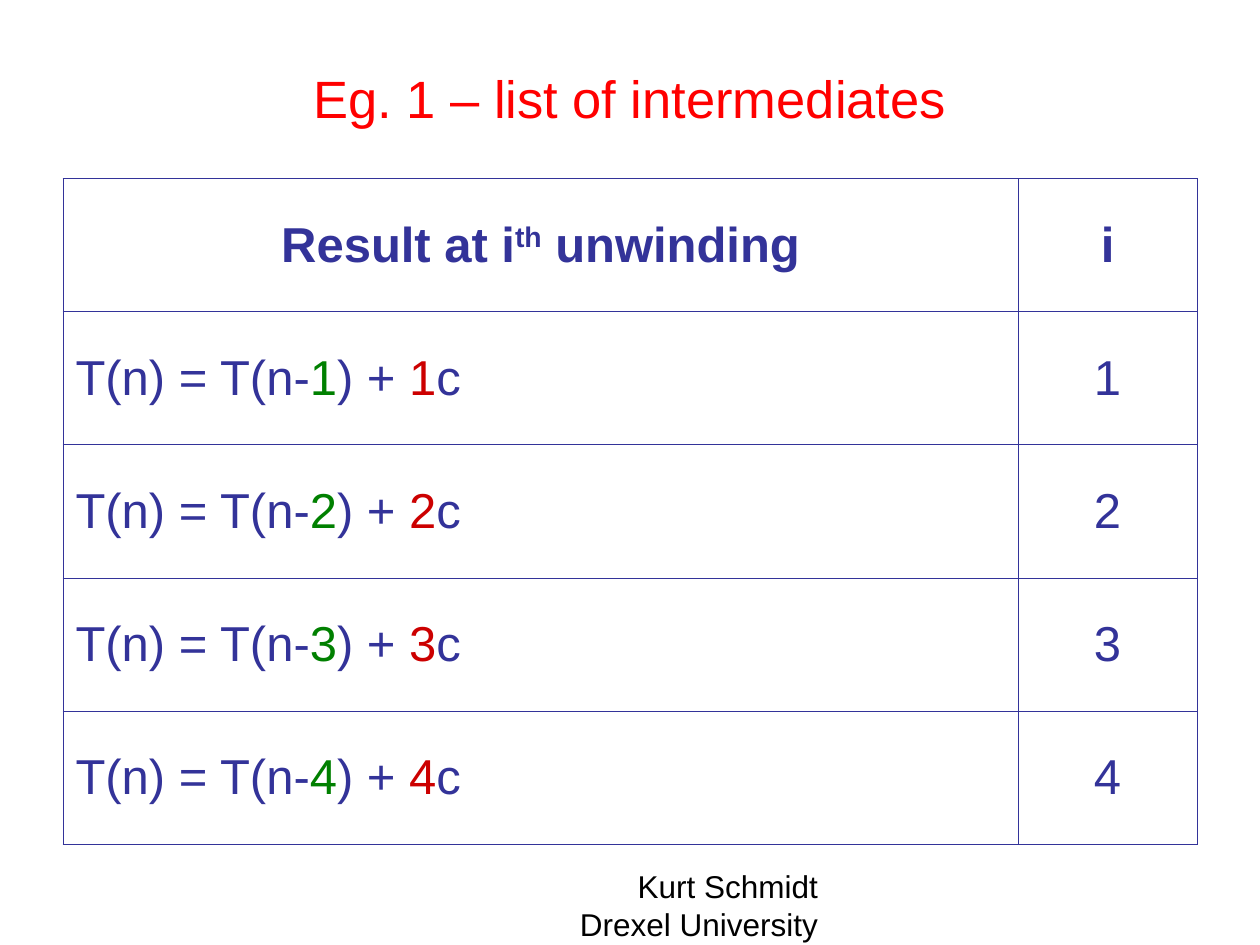
"""Build the slide that lists the unwinding steps of a recurrence."""
import dataclasses

import pptx
import pptx.dml.color
import pptx.enum.text
import pptx.oxml
import pptx.oxml.ns
import pptx.util

Pt = pptx.util.Pt
ALIGN = pptx.enum.text.PP_ALIGN
MIDDLE = pptx.enum.text.MSO_ANCHOR.MIDDLE


@dataclasses.dataclass(frozen=True)
class Theme:
    font: str = "Arial"
    red: str = "FF0000"
    navy: str = "333399"
    green: str = "008000"
    ruby: str = "CC0000"
    black: str = "000000"
    title: int = 30
    body: int = 28
    foot: int = 18
    rule: float = 0.45


THEME = Theme()


def style(run, size, color, bold=False):
    font = run.font
    font.name, font.size, font.bold = THEME.font, Pt(size), bold
    font.color.rgb = pptx.dml.color.RGBColor.from_string(color)


def place(shape, left, top, width, height):
    shape.left, shape.top = Pt(left), Pt(top)
    shape.width, shape.height = Pt(width), Pt(height)


def add_title(slide, text):
    title = slide.shapes.title
    place(title, 36, 21.6, 648, 68.4)
    frame = title.text_frame
    frame.text = text
    frame.vertical_anchor = MIDDLE
    line = frame.paragraphs[0]
    line.alignment = ALIGN.CENTER
    style(line.runs[0], THEME.title, THEME.red)


def add_footer(slide, text):
    box = slide.shapes.add_textbox(Pt(246), Pt(492), Pt(228.5), Pt(37.5))
    frame = box.text_frame
    frame.word_wrap = True
    frame.text = text
    for line in frame.paragraphs:
        line.alignment = ALIGN.RIGHT
        style(line.runs[0], THEME.foot, THEME.black)


def add_edges(cell):
    props = cell._tc.get_or_add_tcPr()
    space = pptx.oxml.ns.nsdecls("a")
    for at, side in enumerate(("lnL", "lnR", "lnT", "lnB")):
        props.insert(at, pptx.oxml.parse_xml(
            f'<a:{side} {space} w="{Pt(THEME.rule)}"><a:solidFill>'
            f'<a:srgbClr val="{THEME.navy}"/></a:solidFill></a:{side}>'))


def fill_cell(cell, parts, align, bold=False):
    cell.fill.background()
    add_edges(cell)
    cell.vertical_anchor = MIDDLE
    line = cell.text_frame.paragraphs[0]
    line.alignment = align
    for text, color in parts:
        run = line.add_run()
        run.text = text
        style(run, THEME.body, color, bold)
    return line


def add_steps(slide, count):
    high = 76.1
    table = slide.shapes.add_table(
        count + 1, 2, Pt(36), Pt(102), Pt(648), Pt(high * (count + 1))).table
    table.first_row = table.horz_banding = False
    for column, width in zip(table.columns, (545.8, 102.2)):
        column.width = Pt(width)
    for row in table.rows:
        row.height = Pt(high)

    navy = THEME.navy
    head = [(text, navy) for text in ("Result at i", "th", " unwinding")]
    line = fill_cell(table.cell(0, 0), head, ALIGN.CENTER, True)
    line.runs[1].font._element.set("baseline", "30000")
    fill_cell(table.cell(0, 1), [("i", navy)], ALIGN.CENTER, True)

    for step in range(1, count + 1):
        mark = str(step)
        parts = [("T(n) = T(n-", navy), (mark, THEME.green), (") + ", navy),
                 (mark, THEME.ruby), ("c", navy)]
        fill_cell(table.cell(step, 0), parts, ALIGN.LEFT)
        fill_cell(table.cell(step, 1), [(mark, navy)], ALIGN.CENTER)


def main():
    deck = pptx.Presentation()
    deck.slide_width, deck.slide_height = Pt(720), Pt(540)
    slide = deck.slides.add_slide(deck.slide_layouts.get_by_name("Title Only"))
    add_footer(slide, "Kurt Schmidt\nDrexel University")
    add_title(slide, "Eg. 1 – list of intermediates")
    add_steps(slide, 4)
    deck.save("out.pptx")


if __name__ == "__main__":
    main()
